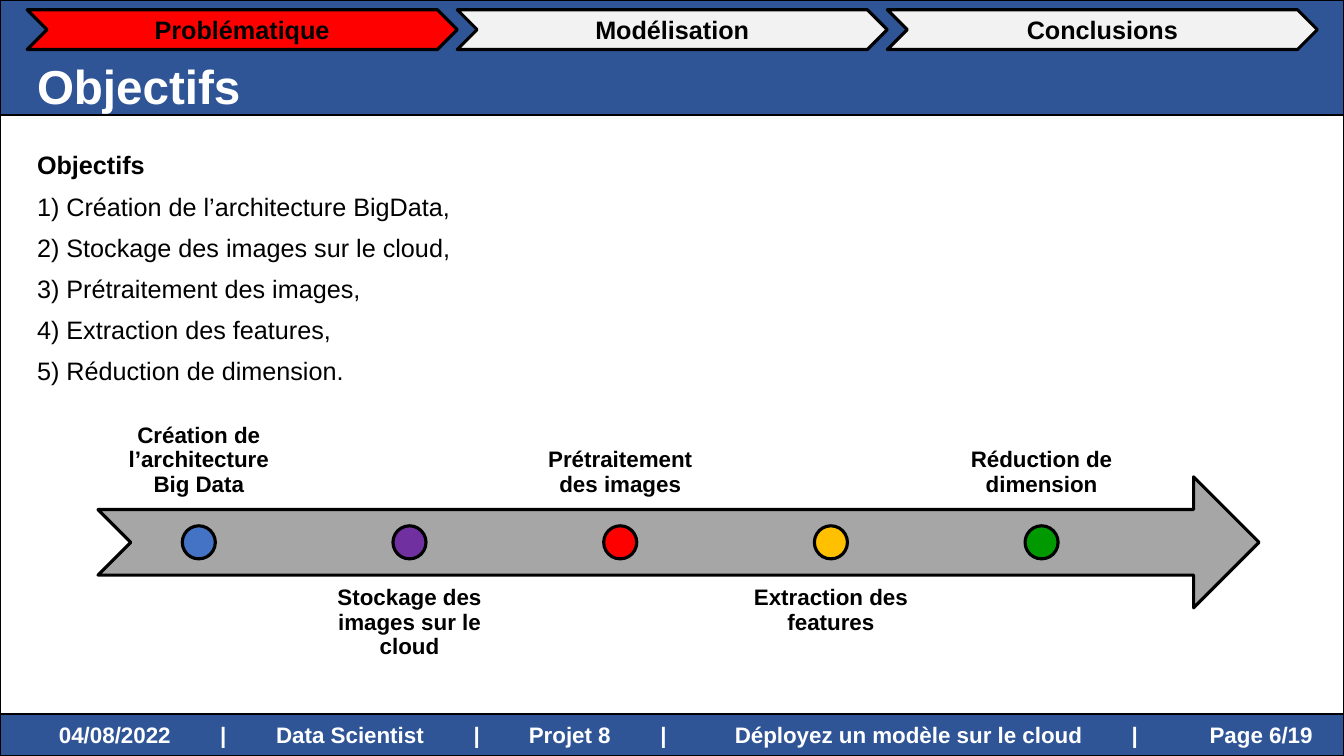
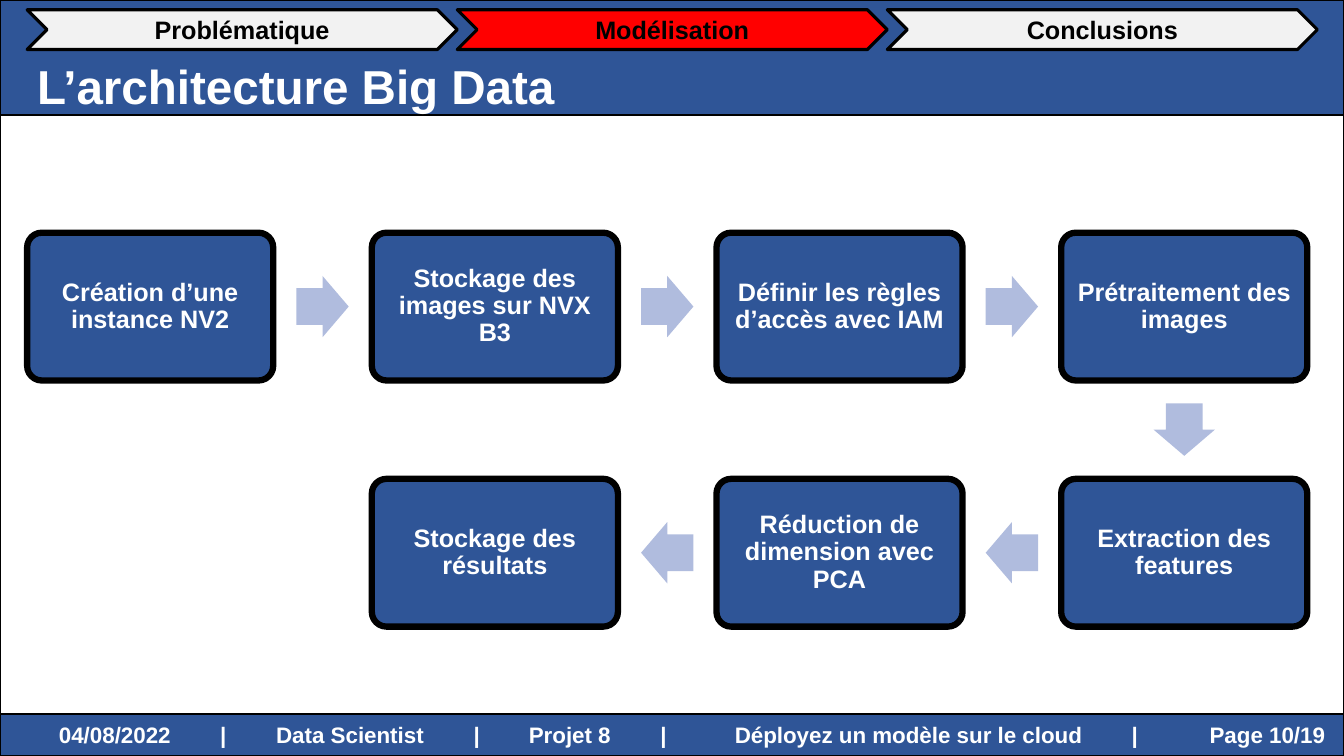
from math import atan2, degrees

from lxml.etree import SubElement
from pptx import Presentation
from pptx.dml.color import RGBColor
from pptx.enum.shapes import MSO_SHAPE as SHAPE
from pptx.enum.text import MSO_ANCHOR as ANCHOR, PP_ALIGN as ALIGN
from pptx.oxml.ns import qn
from pptx.util import Pt

COLORS = {
    "band": "2F5597", "white": "FFFFFF", "black": "000000",
    "tab": "F2F2F2", "active": "FF0000",
    "timeline": "A6A6A6", "flow_arrow": "B0BCDE",
    "blue": "4472C4", "purple": "7030A0", "red": "FF0000",
    "yellow": "FFC000", "green": "009900",
}
FONT = "Arial"
WIDTH, HEIGHT = 960, 540
HEADER_BOTTOM, FOOTER_TOP = 82, 510
MARGIN = 19.4

SECTIONS = ["Problématique", "Modélisation", "Conclusions"]
SECTION_WIDTH = 307.2
FOOTER = ["04/08/2022", "|", "Data Scientist", "|", "Projet 8", "|",
          "Déployez un modèle sur le cloud", "|"]
FOOTER_CENTERS = [82, 159.5, 250, 340.5, 407, 474, 649, 810.5]
PAGE_LEFT = 864


def add_shape(slide, kind, left, top, width, height, fill, line_width=0):
    shape = slide.shapes.add_shape(kind, Pt(left), Pt(top), Pt(width), Pt(height))
    shape.shadow.inherit = False
    shape.fill.solid()
    shape.fill.fore_color.rgb = RGBColor.from_string(COLORS[fill])
    if line_width:
        shape.line.color.rgb = RGBColor.from_string(COLORS["black"])
        shape.line.width = Pt(line_width)
    else:
        shape.line.fill.background()
    return shape


def write(shape, text, size, color="black", align=ALIGN.CENTER,
          anchor=ANCHOR.MIDDLE, inset=None, spacing=None):
    """Fill a shape with bold text; inset is the margin on all four sides."""
    frame = shape.text_frame
    frame.word_wrap = True
    frame.vertical_anchor = anchor
    if inset is not None:
        frame.margin_left = frame.margin_right = Pt(inset)
        frame.margin_top = frame.margin_bottom = Pt(inset)
    frame.text = text
    for paragraph in frame.paragraphs:
        paragraph.alignment = align
        if spacing:
            paragraph.line_spacing = spacing
        for run in paragraph.runs:
            run.font.name = FONT
            run.font.size = Pt(size)
            run.font.bold = True
            run.font.color.rgb = RGBColor.from_string(COLORS[color])
    return frame


presentation = Presentation()
presentation.slide_width, presentation.slide_height = Pt(WIDTH), Pt(HEIGHT)
blank_layout = presentation.slide_layouts[6]

# Frame shared by the slides: bands, section tabs, title and footer
slides = []
for title, active_section, page in [("Objectifs", "Problématique", "Page 6/19"),
                                    ("L’architecture Big Data", "Modélisation", "Page 10/19")]:
    slide = presentation.slides.add_slide(blank_layout)
    slides.append(slide)
    add_shape(slide, SHAPE.RECTANGLE, 0, HEADER_BOTTOM, WIDTH, FOOTER_TOP - HEADER_BOTTOM,
              "white", 1.5)
    add_shape(slide, SHAPE.RECTANGLE, 0, 0, WIDTH, HEADER_BOTTOM, "band", 1.5)
    footer = add_shape(slide, SHAPE.RECTANGLE, 0, FOOTER_TOP, WIDTH, HEIGHT - FOOTER_TOP,
                       "band", 1.5)
    frame = write(footer, "\t" + "\t".join(FOOTER + [page]), 16, "white", ALIGN.LEFT, inset=0)
    properties = frame.paragraphs[0]._p.get_or_add_pPr()
    tab_list = SubElement(properties, qn("a:tabLst"))
    for position in FOOTER_CENTERS:
        SubElement(tab_list, qn("a:tab"), pos=str(Pt(position)), algn="ctr")
    SubElement(tab_list, qn("a:tab"), pos=str(Pt(PAGE_LEFT)), algn="l")

    title_box = slide.shapes.add_textbox(Pt(MARGIN), Pt(27), Pt(828), Pt(68))
    write(title_box, title, 34, "white", ALIGN.LEFT)
    for index, section in enumerate(SECTIONS):
        fill = "active" if section == active_section else "tab"
        chevron = add_shape(slide, SHAPE.CHEVRON, MARGIN + index * SECTION_WIDTH, 7,
                            SECTION_WIDTH, 28.4, fill, 2.25)
        write(chevron, section, 18, inset=0)

goals_slide, architecture_slide = slides

# Goals and their timeline
GOALS = ["Objectifs", "1) Création de l’architecture BigData,",
         "2) Stockage des images sur le cloud,", "3) Prétraitement des images,",
         "4) Extraction des features,", "5) Réduction de dimension."]
goals_box = goals_slide.shapes.add_textbox(Pt(MARGIN), Pt(105.8), Pt(920), Pt(180))
goals_frame = write(goals_box, "\n".join(GOALS), 18, align=ALIGN.LEFT,
                    anchor=ANCHOR.TOP, spacing=0.9)
for index, paragraph in enumerate(goals_frame.paragraphs):
    paragraph.space_before = Pt(10)
    paragraph.runs[0].font.bold = index == 0

MILESTONES = [("Création de l’architecture Big Data", "blue"),
              ("Stockage des images sur le cloud", "purple"),
              ("Prétraitement des images", "red"),
              ("Extraction des features", "yellow"),
              ("Réduction de dimension", "green")]
TIMELINE_LEFT, TIMELINE_TOP, TIMELINE_HEIGHT = 70, 340.6, 93.6
LABEL_WIDTH, MILESTONE_STEP, DOT = 143.4, 150.5, 23.6
add_shape(goals_slide, SHAPE.NOTCHED_RIGHT_ARROW, TIMELINE_LEFT, TIMELINE_TOP,
          829.4, TIMELINE_HEIGHT, "timeline", 2.25)
for index, (label, color) in enumerate(MILESTONES):
    center = TIMELINE_LEFT + 72 + index * MILESTONE_STEP
    label_top, anchor = (410.4, ANCHOR.TOP) if index % 2 else (270, ANCHOR.BOTTOM)
    label_box = goals_slide.shapes.add_textbox(
        Pt(center - LABEL_WIDTH / 2), Pt(label_top), Pt(LABEL_WIDTH), Pt(TIMELINE_HEIGHT))
    write(label_box, label, 16, anchor=anchor, inset=8.6, spacing=0.9)
    add_shape(goals_slide, SHAPE.OVAL, center - DOT / 2,
              TIMELINE_TOP + (TIMELINE_HEIGHT - DOT) / 2, DOT, DOT, color, 2.25)

# Architecture steps: to the right, down, then back to the left
STEPS = [("Création d’une instance NV2", 0, 0),
         ("Stockage des images sur NVX B3", 1, 0),
         ("Définir les règles d’accès avec IAM", 2, 0),
         ("Prétraitement des images", 3, 0),
         ("Extraction des features", 3, 1),
         ("Réduction de dimension avec PCA", 2, 1),
         ("Stockage des résultats", 1, 1)]
CARD_WIDTH, CARD_HEIGHT = 175.8, 105.6
COLUMN_STEP, ROW_STEP, FIRST_ROW = 246.2, 175.8, 166.2
ARROW_LENGTH, ARROW_WIDTH = 37.4, 43.8
previous_center = None
for label, column, row in STEPS:
    left, top = MARGIN + column * COLUMN_STEP, FIRST_ROW + row * ROW_STEP
    card = add_shape(architecture_slide, SHAPE.ROUNDED_RECTANGLE, left, top,
                     CARD_WIDTH, CARD_HEIGHT, "band", 4.5)
    card.adjustments[0] = 0.1
    write(card, label, 18, "white", inset=5, spacing=0.9)
    x, y = left + CARD_WIDTH / 2, top + CARD_HEIGHT / 2
    if previous_center:
        previous_x, previous_y = previous_center
        arrow = add_shape(architecture_slide, SHAPE.RIGHT_ARROW,
                          (x + previous_x - ARROW_LENGTH) / 2,
                          (y + previous_y - ARROW_WIDTH) / 2,
                          ARROW_LENGTH, ARROW_WIDTH, "flow_arrow")
        arrow.adjustments[0], arrow.adjustments[1] = 0.6, 0.5
        arrow.rotation = degrees(atan2(y - previous_y, x - previous_x))
    previous_center = x, y

presentation.save("out.pptx")
